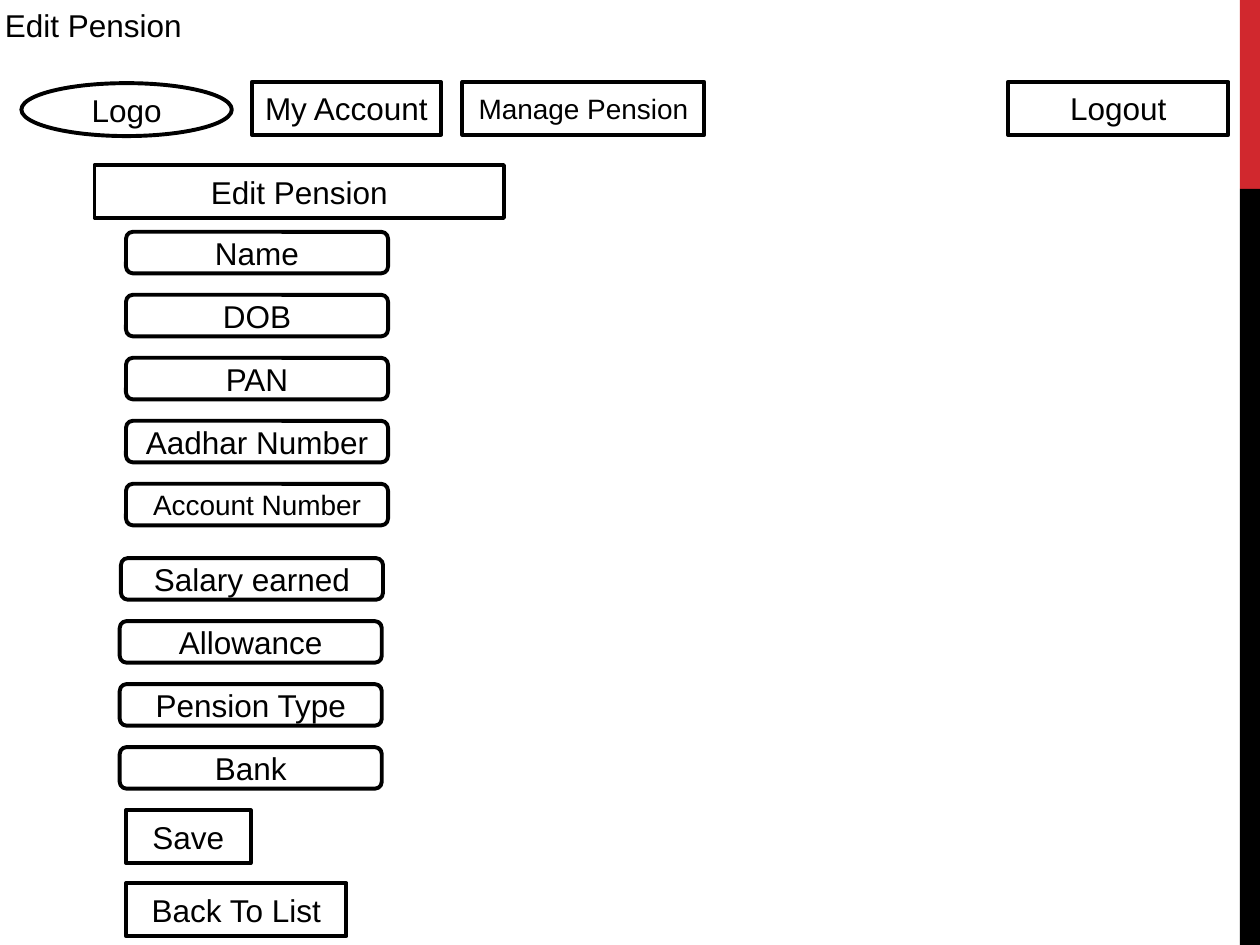
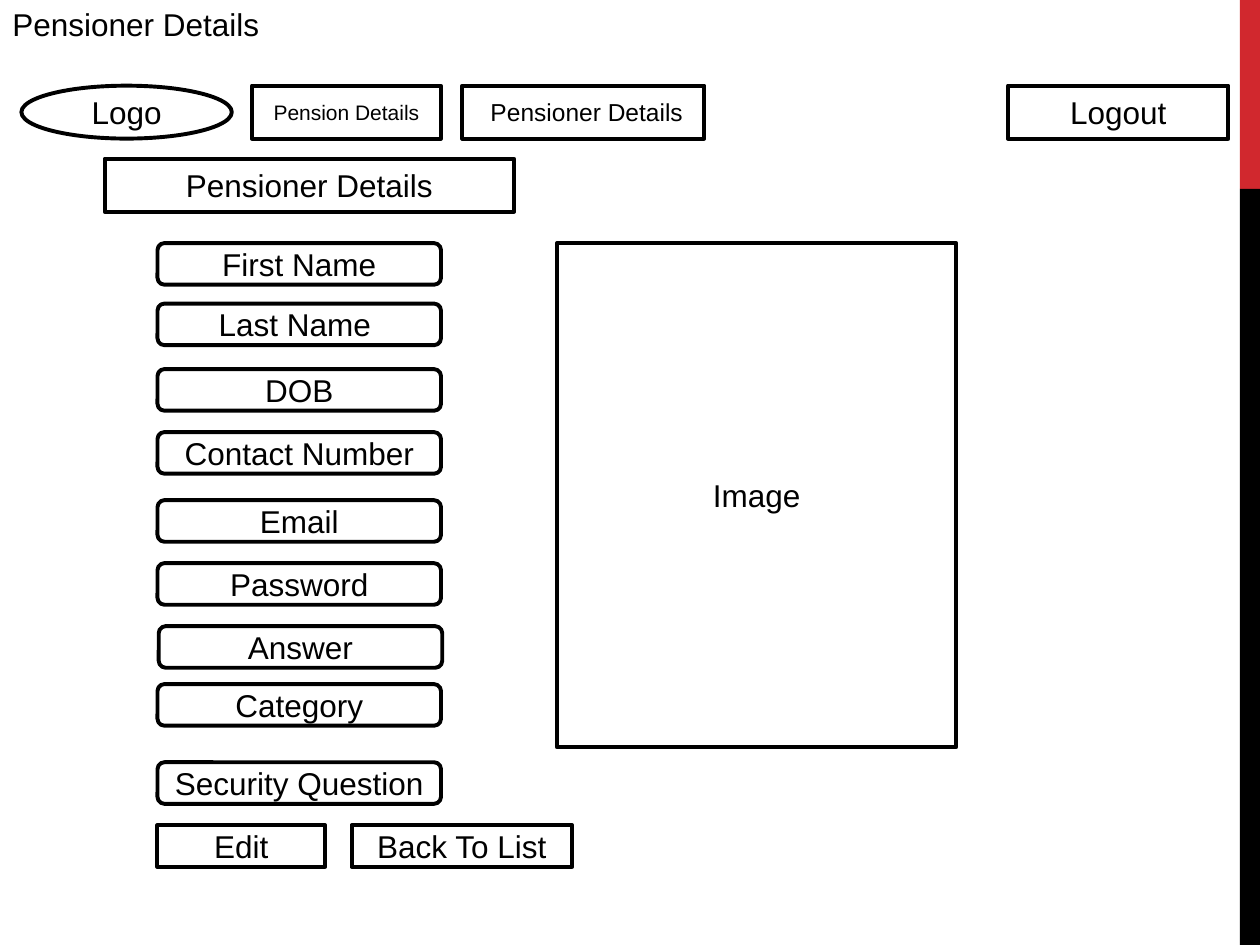
from dataclasses import dataclass

from pptx import Presentation
from pptx.dml.color import RGBColor
from pptx.enum.shapes import MSO_SHAPE
from pptx.enum.text import MSO_ANCHOR, MSO_AUTO_SIZE, PP_ALIGN
from pptx.util import Inches, Pt


@dataclass(frozen=True)
class Theme:
    font: str = "Arial"
    ink: RGBColor = RGBColor(0x00, 0x00, 0x00)
    paper: RGBColor = RGBColor(0xFF, 0xFF, 0xFF)
    accent: RGBColor = RGBColor(0xD1, 0x28, 0x2E)
    body: int = 18
    compact: int = 16
    small: int = 14
    tiny: int = 12
    outline: float = 2.25


THEME = Theme()
BUTTON_HEIGHT = 0.42
FIELD_HEIGHT = 0.33
FIELD_PITCH = 0.5


def add_filled_shape(slide, kind, left, top, width, height, color):
    shape = slide.shapes.add_shape(
        kind, Inches(left), Inches(top), Inches(width), Inches(height))
    shape.shadow.inherit = False
    shape.fill.solid()
    shape.fill.fore_color.rgb = color
    return shape


def write(paragraph, text, size):
    run = paragraph.add_run()
    run.text = text
    run.font.name = THEME.font
    run.font.size = Pt(size)
    run.font.color.rgb = THEME.ink


def add_box(slide, text, left, top, width, height=BUTTON_HEIGHT,
            size=THEME.body, kind=MSO_SHAPE.RECTANGLE):
    box = add_filled_shape(slide, kind, left, top, width, height, THEME.paper)
    box.line.color.rgb = THEME.ink
    box.line.width = Pt(THEME.outline)
    frame = box.text_frame
    frame.word_wrap = True
    frame.vertical_anchor = MSO_ANCHOR.MIDDLE
    label = frame.paragraphs[0]
    label.alignment = PP_ALIGN.CENTER
    write(label, text, size)


def add_field(slide, text, left, top, width, size=THEME.body):
    add_box(slide, text, left, top, width, FIELD_HEIGHT, size,
            MSO_SHAPE.ROUNDED_RECTANGLE)


def add_side_band(slide):
    for top, height, color in ((0, 1.5, THEME.accent), (1.5, 6, THEME.ink)):
        band = add_filled_shape(
            slide, MSO_SHAPE.RECTANGLE, 9.84, top, 0.16, height, color)
        band.line.fill.background()


def add_page_title(slide, text, left, top, width):
    title = slide.shapes.add_textbox(
        Inches(left), Inches(top), Inches(width), Inches(0.71))
    frame = title.text_frame
    frame.word_wrap = False
    frame.auto_size = MSO_AUTO_SIZE.SHAPE_TO_FIT_TEXT
    write(frame.paragraphs[0], text, THEME.body)


def add_navigation(slide, top, logo_top, first_tab, second_tab):
    add_box(slide, "Logo", 0.17, logo_top, 1.67, kind=MSO_SHAPE.OVAL)
    first_text, first_size = first_tab
    second_text, second_size = second_tab
    add_box(slide, first_text, 2, top, 1.5, size=first_size)
    add_box(slide, second_text, 3.67, top, 1.92, size=second_size)
    add_box(slide, "Logout", 8, top, 1.75)


def add_screen(presentation):
    slide = presentation.slides.add_slide(presentation.slide_layouts[6])
    add_side_band(slide)
    return slide


def build_edit_pension(presentation):
    slide = add_screen(presentation)
    add_page_title(slide, "Edit Pension", -0.06, 0, 1.62)
    add_navigation(slide, 0.65, 0.66, ("My Account", THEME.body),
                   ("Manage Pension", THEME.compact))
    add_box(slide, "Edit Pension", 0.75, 1.31, 3.25)

    field_width = 2.08
    identity = ("Name", "DOB", "PAN", "Aadhar Number", "Account Number")
    for row, text in enumerate(identity):
        size = THEME.compact if text == "Account Number" else THEME.body
        add_field(slide, text, 1, 1.84 + row * FIELD_PITCH, field_width, size)
    payment = ("Salary earned", "Allowance", "Pension Type", "Bank")
    for row, text in enumerate(payment):
        left = 0.96 if row == 0 else 0.95
        add_field(slide, text, left, 4.43 + row * FIELD_PITCH, field_width)

    add_box(slide, "Save", 1, 6.43, 0.99)
    add_box(slide, "Back To List", 1, 7.01, 1.75)


def build_pensioner_details(presentation):
    slide = add_screen(presentation)
    add_page_title(slide, "Pensioner Details", 0, -0.01, 2.18)
    add_navigation(slide, 0.68, 0.68, ("Pension Details", THEME.tiny),
                   (" Pensioner Details", THEME.small))
    add_box(slide, "Pensioner Details", 0.83, 1.26, 3.25)

    form_left = 1.25
    field_tops = {
        "First Name": 1.93, "Last Name ": 2.41, "DOB": 2.93,
        "Contact Number": 3.43, "Email": 3.97, "Password": 4.47,
        "Answer": 4.97, "Category": 5.43, "Security Question": 6.05,
    }
    for text, top in field_tops.items():
        left = 1.26 if text == "Answer" else form_left
        add_field(slide, text, left, top, 2.25)

    add_box(slide, "Edit", form_left, 6.55, 1.33, FIELD_HEIGHT)
    add_box(slide, "Back To List", 2.79, 6.55, 1.75, FIELD_HEIGHT)
    add_box(slide, "Image", 4.42, 1.93, 3.17, 4)


def main():
    presentation = Presentation()
    presentation.slide_width = Inches(10)
    presentation.slide_height = Inches(7.5)
    build_edit_pension(presentation)
    build_pensioner_details(presentation)
    presentation.save("out.pptx")


if __name__ == "__main__":
    main()
